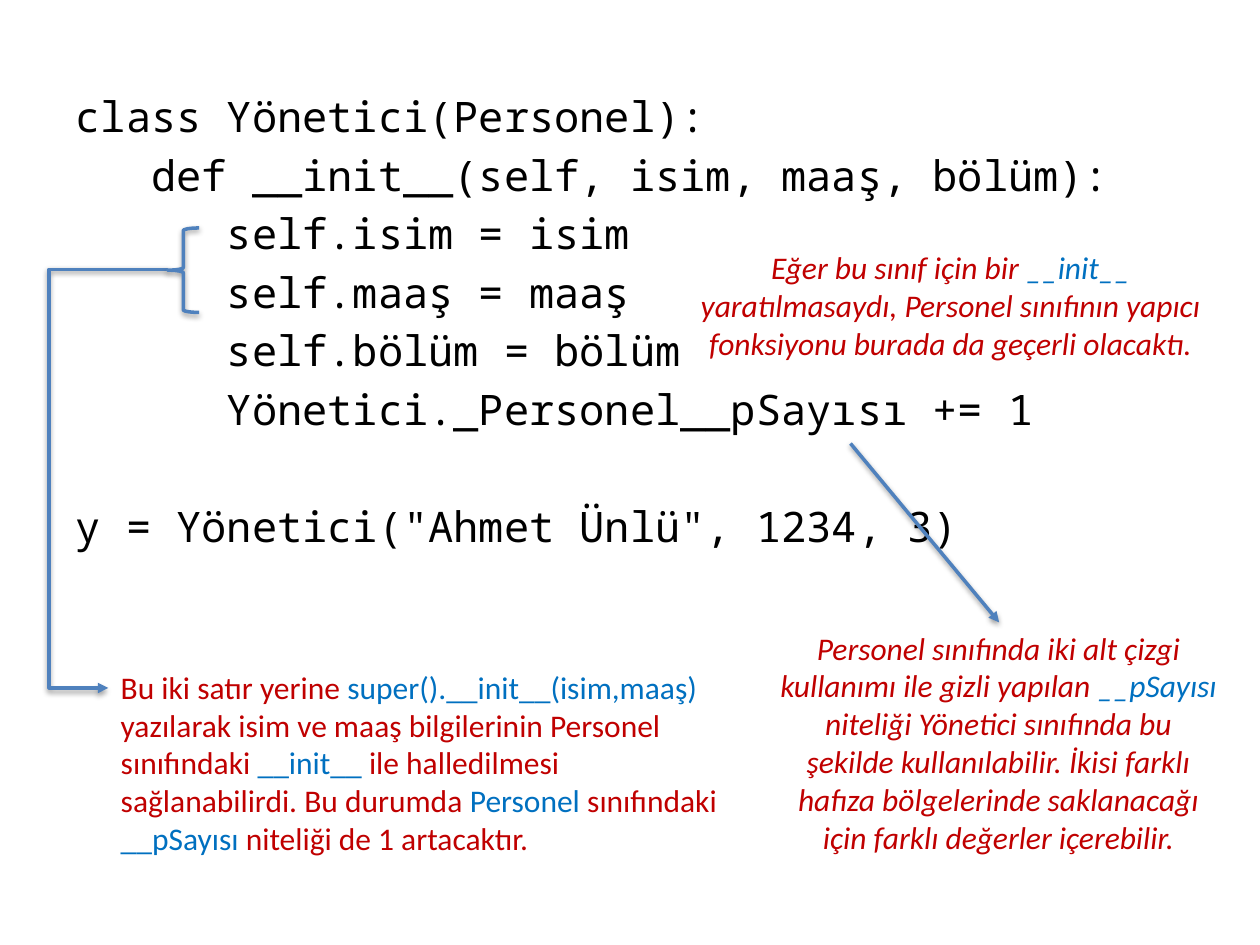
from lxml import etree
from pptx import Presentation
from pptx.dml.color import RGBColor
from pptx.enum.shapes import MSO_CONNECTOR, MSO_SHAPE
from pptx.enum.text import MSO_AUTO_SIZE, PP_ALIGN
from pptx.oxml import parse_xml
from pptx.util import Inches, Pt

STRAIGHT, ELBOW = MSO_CONNECTOR.STRAIGHT, MSO_CONNECTOR.ELBOW
BRACE = MSO_SHAPE.LEFT_BRACE
LEFT, CENTER = PP_ALIGN.LEFT, PP_ALIGN.CENTER
NO_FIT = MSO_AUTO_SIZE.NONE
NS = "http://schemas.openxmlformats.org/drawingml/2006/main"
RED, BLUE, BLACK, LINE = "C00000", "0070C0", "000000", "4F81BD"
SHADOW = (
    f'<a:effectLst xmlns:a="{NS}"><a:outerShdw blurRad="40000" dist="20000" '
    'dir="5400000" rotWithShape="0"><a:srgbClr val="000000">'
    '<a:alpha val="38000"/></a:srgbClr></a:outerShdw></a:effectLst>'
)


def add_text(paragraph, text, size=18, font="Calibri", color=RED, italic=False):
    """Append one formatted run to a paragraph."""
    run = paragraph.add_run()
    run.text = text
    run.font.size = Pt(size)
    run.font.name = font
    run.font.italic = italic
    run.font.color.rgb = RGBColor.from_string(color)


def style_line(mark, arrow=True):
    """Give a line its colour, width, soft shadow and optional arrowhead."""
    mark.line.color.rgb = RGBColor.from_string(LINE)
    mark.line.width = Pt(2)
    if arrow:
        etree.SubElement(mark.line._get_or_add_ln(), f"{{{NS}}}tailEnd", type="triangle")
    mark._element.spPr.append(parse_xml(SHADOW))


prs = Presentation()
prs.slide_width, prs.slide_height = Inches(10), Inches(7.5)
slide = prs.slides.add_slide(prs.slide_layouts[1])
title = slide.shapes.title
title._element.getparent().remove(title._element)

# Code listing: indent level, line, space before in points
code_lines = [
    (0, "class Yönetici(Personel):", 4.8),
    (1, "def __init__(self, isim, maaş, bölüm):", 4.8),
    (2, "self.isim = isim", 4.8),
    (2, "self.maaş = maaş", 4.8),
    (2, "self.bölüm = bölüm", 4.8),
    (2, "Yönetici._Personel__pSayısı += 1", 4.8),
    (0, 'y = Yönetici("Ahmet Ünlü", 1234, 3)', 38.3),
]
code = slide.placeholders[1]
code.left, code.top = Inches(0.5), Inches(0.67)
code.width, code.height = Inches(9), Inches(6.17)
code.text_frame.auto_size = NO_FIT
for number, (level, line, gap) in enumerate(code_lines):
    paragraph = code.text_frame.paragraphs[0] if number == 0 else code.text_frame.add_paragraph()
    paragraph.space_before = Pt(gap)
    paragraph.line_spacing = Pt(28.7)
    properties = paragraph._p.get_or_add_pPr()
    properties.set("marL", str(Inches(0.6 * level)))
    properties.set("indent", "0")
    etree.SubElement(properties, f"{{{NS}}}buNone")
    add_text(paragraph, line, size=24, font="Noto Sans Mono", color=BLACK)

# Notes: place, alignment, italic, then red and blue runs in turn
notes = [
    ((5.42, 1.92, 4.25, 1.01), CENTER, True, [
        "Eğer bu sınıf için bir ", "__init__ ",
        "yaratılmasaydı, Personel sınıfının yapıcı fonksiyonu burada da geçerli olacaktı."]),
    ((6.08, 4.94, 3.69, 1.92), CENTER, True, [
        "Personel sınıfında iki alt çizgi kullanımı ile gizli yapılan ", "__pSayısı ",
        "niteliği Yönetici sınıfında bu şekilde kullanılabilir. İkisi farklı hafıza "
        "bölgelerinde saklanacağı için farklı değerler içerebilir."]),
    ((0.86, 5.25, 4.98, 1.62), LEFT, False, [
        "Bu iki satır yerine ", "super().__init__(isim,maaş) ",
        "yazılarak isim ve maaş bilgilerinin Personel sınıfındaki ", "__init__",
        " ile halledilmesi sağlanabilirdi. Bu durumda ", "Personel ",
        "sınıfındaki ", "__pSayısı ", "niteliği de 1 artacaktır."]),
]
for place, alignment, italic, parts in notes:
    note = slide.shapes.add_textbox(*map(Inches, place)).text_frame
    note.word_wrap = True
    note.paragraphs[0].alignment = alignment
    for number, part in enumerate(parts):
        add_text(note.paragraphs[0], part, color=(RED, BLUE)[number % 2], italic=italic)

counter_arrow = slide.shapes.add_connector(
    STRAIGHT, Inches(6.75), Inches(3.52), Inches(7.93), Inches(4.94))
style_line(counter_arrow)

# Elbow from the brace, out to the left margin and down to the lower note
super_arrow = slide.shapes.add_connector(
    ELBOW, Inches(-0.56), Inches(3.57), Inches(2.75), Inches(4.04))
super_arrow._element.spPr.find(f"{{{NS}}}xfrm").set("rot", "5400000")
bend = super_arrow._element.spPr.find(f"{{{NS}}}prstGeom")
bend.set("prst", "bentConnector4")
adjustments = bend.find(f"{{{NS}}}avLst")
for name, value in (("adj1", -400), ("adj2", 200000)):
    etree.SubElement(adjustments, f"{{{NS}}}gd", name=name, fmla=f"val {value}")
style_line(super_arrow)

brace = slide.shapes.add_shape(BRACE, Inches(1.33), Inches(1.81), Inches(0.25), Inches(0.67))
brace.fill.background()
style_line(brace, arrow=False)

prs.save("out.pptx")
